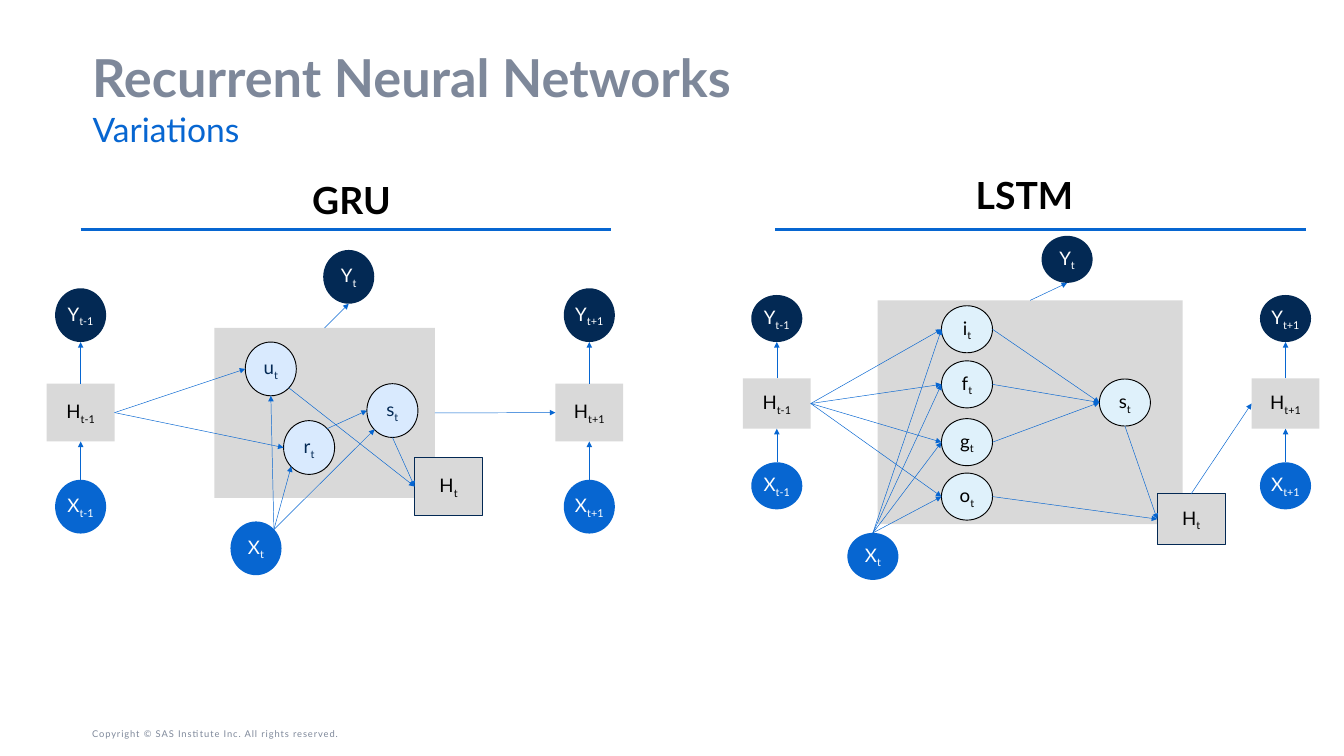
"""Build a slide that compares the GRU and LSTM recurrent cells."""
from lxml import etree
from pptx import Presentation
from pptx.dml.color import RGBColor
from pptx.enum import shapes, text
from pptx.oxml import ns
from pptx.util import Inches, Pt

THEME = {
    "font": "Lato",
    "blue": "0766D1", "navy": "032954", "grey": "D9D9D9", "slate": "7E889A",
    "sky": "D9EAFE", "ice": "DFF1FB", "black": "000000", "white": "FFFFFF",
    "title": 56, "head": 40, "sub": 36, "label": 20, "foot": 10,
    "thin": 0.5, "edge": 1, "rule": 3,
}
STYLES = {
    "X": {"fill": "blue", "ink": "white"},
    "Y": {"fill": "navy", "ink": "white"},
    "H": {"fill": "grey", "ink": "black"},
    "out": {"fill": "grey", "ink": "black", "line": "navy"},
    "sky": {"fill": "sky", "ink": "navy", "line": "black"},
    "ice": {"fill": "ice", "ink": "black", "line": "black"},
}
WIDE, ROUND = 1.01, 0.76
SIDES = {"n": (0.5, 0), "w": (0, 0.5), "s": (0.5, 1), "e": (1, 0.5),
         "ne": (0.85, 0.15), "se": (0.85, 0.85), "sw": (0.15, 0.85)}
SITES = "nwse"

TEXTS = [
    ("Copyright © SAS Institute Inc. All rights reserved.", (1.37, 10.78, 5.5, 0.27),
     {"size": "foot", "ink": "slate", "anchor": "BOTTOM", "inset": (0, 0.05), "track": 1}),
    ("Recurrent Neural Networks", (1.37, 0.78, 17.25, 0.85),
     {"size": "title", "ink": "slate", "bold": True, "lead": 0.9}),
    ("Variations", (1.38, 1.71, 17.25, 0.6),
     {"size": "sub", "ink": "blue", "anchor": "TOP", "lead": 0.85}),
]
HEAD = {"size": "head", "bold": True, "anchor": "TOP", "inset": (0.2, 0.05)}

PANELS = [
    {"name": "GRU", "head": (4.44, 2.59, 1.58, 0.77), "align": "CENTER",
     "rule": (1.2, 9.09), "cell": (3.19, 4.88, 3.28, 2.53), "gate": "sky",
     "tall": 0.8, "box": 0.86, "steps": {"t-1": 1.2, "t+1": 8.77},
     "rows": {"Y": 4.29, "H": 5.71, "X": 7.14},
     "now": {"X": (3.43, 7.76), "Y": (4.81, 3.72), "H": (6.17, 6.81)},
     "gates": {"u": (3.65, 5.09), "r": (4.22, 6.26), "s": (5.46, 5.71)},
     "links": [("Xt ne", "ut s"), ("Xt ne", "rt sw"), ("Xt ne", "st sw"),
               ("rt ne", "st w"), ("ut se", "Ht w"), ("st s", "Ht w"),
               ("cell n", "Yt s"), ("cell e", "Ht+1 w"),
               ("Ht-1 e", "ut w"), ("Ht-1 e", "rt w")]},
    {"name": "LSTM", "head": (14.32, 2.52, 2.02, 0.77), "align": "LEFT",
     "rule": (11.54, 19.43), "cell": (13.06, 4.47, 4.54, 3.33), "gate": "ice",
     "tall": 0.7, "box": 0.75, "steps": {"t-1": 11.56, "t+1": 19.13},
     "rows": {"Y": 4.39, "H": 5.63, "X": 6.88},
     "now": {"X": (12.61, 7.93), "Y": (15.5, 3.51), "H": (17.22, 7.35)},
     "gates": {"i": (14.01, 4.55), "f": (14.01, 5.37), "g": (14.01, 6.23),
               "o": (14.01, 7.04), "s": (16.36, 5.64)},
     "links": [(start, f"{gate}t w") for start in ("Ht-1 e", "Xt n") for gate in "ifgo"]
              + [(f"{gate}t e", "st w") for gate in "ifg"]
              + [("ot e", "Ht w"), ("st s", "Ht w"), ("Ht n", "Ht+1 w"), ("cell n", "Yt s")]},
]


def tint(name):
    return RGBColor.from_string(THEME[name])


def write(shape, words, sub="", size="label", ink="black", bold=False, align="LEFT",
          anchor="MIDDLE", inset=(0, 0), lead=None, track=0, wrap=True):
    frame = shape.text_frame
    frame.word_wrap = wrap
    frame.vertical_anchor = getattr(text.MSO_ANCHOR, anchor)
    frame.margin_left = frame.margin_right = Inches(inset[0])
    frame.margin_top = frame.margin_bottom = Inches(inset[1])
    para = frame.paragraphs[0]
    para.alignment = getattr(text.PP_ALIGN, align)
    if lead:
        para.line_spacing = lead
    for part, base in ((words, 0), (sub, -25000)):
        if not part:
            continue
        run = para.add_run()
        run.text = part
        font = run.font
        font.name, font.size, font.bold = THEME["font"], Pt(THEME[size]), bold
        font.color.rgb = tint(ink)
        props = run._r.get_or_add_rPr()
        if base:
            props.set("baseline", str(base))
        if track:
            props.set("spc", str(track * 100))


def label(slide, words, place, **style):
    write(slide.shapes.add_textbox(*map(Inches, place)), words, **style)


def block(slide, kind, place, fill, line=None):
    shape = slide.shapes.add_shape(kind, *map(Inches, place))
    shape.shadow.inherit = False
    shape.fill.solid()
    shape.fill.fore_color.rgb = tint(fill)
    if line:
        shape.line.color.rgb = tint(line)
        shape.line.width = Pt(THEME["edge"])
    else:
        shape.line.fill.background()
    return shape


def node(slide, base, sub, place, style):
    box = base == "H"
    kind = shapes.MSO_SHAPE.RECTANGLE if box else shapes.MSO_SHAPE.OVAL
    look = STYLES[style]
    shape = block(slide, kind, place, look["fill"], look.get("line"))
    write(shape, base, sub, ink=look["ink"], align="CENTER", wrap=False)
    return shape


def stroke(slide, start, end, width, arrow=False):
    line = slide.shapes.add_connector(shapes.MSO_CONNECTOR.STRAIGHT, *start, *end)
    line.line.color.rgb = tint("blue")
    line.line.width = Pt(THEME[width])
    if arrow:
        tail = etree.SubElement(line.line._get_or_add_ln(), ns.qn("a:tailEnd"))
        tail.set("type", "triangle")
    etree.SubElement(line._element.spPr, ns.qn("a:effectLst"))
    return line


def spot(shape, side):
    across, down = SIDES[side]
    return (int(shape.left + across * shape.width), int(shape.top + down * shape.height))


def link(slide, nodes, start, end):
    (tail, out), (head, into) = start.split(), end.split()
    first, last = nodes[tail], nodes[head]
    line = stroke(slide, spot(first, out), spot(last, into), "thin", arrow=True)
    if first.auto_shape_type == shapes.MSO_SHAPE.RECTANGLE:
        line.begin_connect(first, SITES.index(out))
    if last.auto_shape_type == shapes.MSO_SHAPE.RECTANGLE:
        line.end_connect(last, SITES.index(into))


def panel(slide, data):
    label(slide, data["name"], data["head"], align=data["align"], **HEAD)
    left, right = map(Inches, data["rule"])
    stroke(slide, (left, Inches(3.41)), (right, Inches(3.41)), "rule")
    nodes = {"cell": block(slide, shapes.MSO_SHAPE.RECTANGLE, data["cell"], "grey")}
    sizes = {"H": (WIDE, data["box"])}
    oval = (ROUND, data["tall"])
    links = []
    for step, mid in data["steps"].items():
        for base, top in data["rows"].items():
            size = sizes.get(base, oval)
            place = (mid - size[0] / 2, top, *size)
            nodes[base + step] = node(slide, base, step, place, base)
        links += [(f"X{step} n", f"H{step} s"), (f"H{step} n", f"Y{step} s")]
    for base, place in {**data["now"], **data["gates"]}.items():
        style = data["gate"] if base in data["gates"] else "out" if base == "H" else base
        nodes[base + "t"] = node(slide, base, "t", (*place, *sizes.get(base, oval)), style)
    for start, end in links + data["links"]:
        link(slide, nodes, start, end)


def main():
    deck = Presentation()
    deck.slide_width, deck.slide_height = Inches(20), Inches(11.25)
    slide = deck.slides.add_slide(deck.slide_layouts[6])
    for words, place, style in TEXTS:
        label(slide, words, place, **style)
    for data in PANELS:
        panel(slide, data)
    deck.save("out.pptx")


if __name__ == "__main__":
    main()
